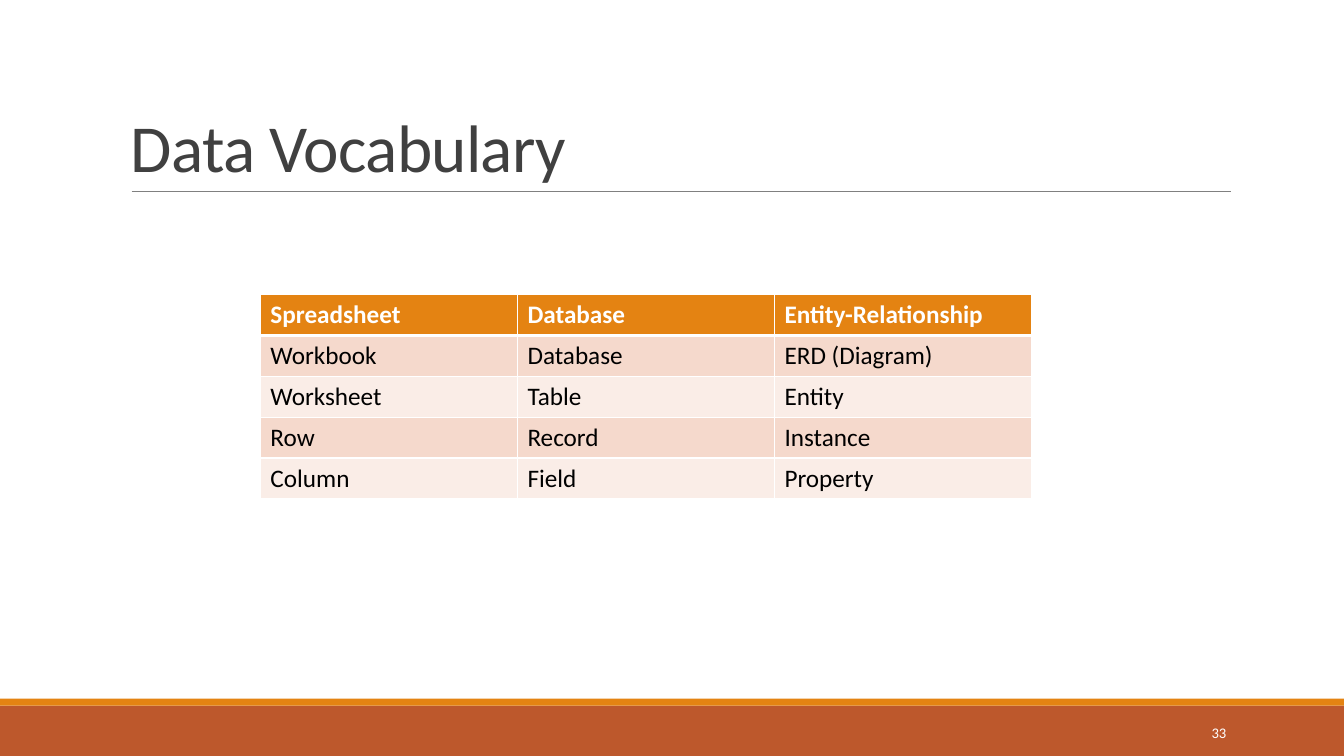
from dataclasses import dataclass

from lxml.etree import SubElement
from pptx import Presentation
from pptx.dml.color import RGBColor
from pptx.enum.shapes import MSO_CONNECTOR as Connector, MSO_SHAPE as Shape
from pptx.enum.text import MSO_ANCHOR as Anchor, PP_ALIGN as Align
from pptx.oxml.ns import qn
from pptx.util import Pt

TITLE = "Data Vocabulary"
PAGE_NUMBER = "33"
VOCABULARY = [
    ("Spreadsheet", "Database", "Entity-Relationship"),
    ("Workbook", "Database", "ERD (Diagram)"),
    ("Worksheet", "Table", "Entity"),
    ("Row", "Record", "Instance"),
    ("Column", "Field", "Property"),
]


@dataclass(frozen=True)
class Theme:
    font: str = "Calibri"
    title_size: float = 48
    table_size: float = 18
    number_size: float = 10.5
    title: str = "404040"
    body: str = "000000"
    white: str = "FFFFFF"
    rule: str = "808080"
    footer: str = "BD582C"
    accent: str = "E48312"
    bands: tuple = ("F5D9CC", "FAEDE7")


THEME = Theme()
PAGE_WIDTH, PAGE_HEIGHT = 960, 540
FOOTER_HEIGHT, STRIPE_HEIGHT = 36, 5
TABLE_LEFT, TABLE_TOP = 186, 210.4
COLUMN_WIDTH, ROW_HEIGHT = 183.6, 29.2


def style(para, size, color, bold=False):
    font = para.runs[0].font
    font.name, font.size, font.bold = THEME.font, Pt(size), bold
    font.color.rgb = RGBColor.from_string(color)


def add_bar(page, top, height, color):
    bar = page.shapes.add_shape(Shape.RECTANGLE, 0, Pt(top), Pt(PAGE_WIDTH), Pt(height))
    bar.shadow.inherit = False
    bar.fill.solid()
    bar.fill.fore_color.rgb = RGBColor.from_string(color)
    bar.line.fill.background()


def add_rule(page, left, right, y):
    rule = page.shapes.add_connector(Connector.STRAIGHT, Pt(left), Pt(y), Pt(right), Pt(y))
    rule.line.width = Pt(0.5)
    rule.line.color.rgb = RGBColor.from_string(THEME.rule)
    SubElement(rule._element.spPr, qn("a:effectLst"))


def add_text(page, text, left, top, width, height, anchor, size, color):
    box = page.shapes.add_textbox(Pt(left), Pt(top), Pt(width), Pt(height))
    frame = box.text_frame
    frame.word_wrap = True
    frame.vertical_anchor = anchor
    frame.text = text
    para = frame.paragraphs[0]
    style(para, size, color)
    return para


def set_borders(cell, widths):
    """Draw white cell borders; widths maps each side (L, R, T, B) to points."""
    properties = cell._tc.get_or_add_tcPr()
    for side, width in widths.items():
        line = SubElement(properties, qn(f"a:ln{side}"), w=str(Pt(width)))
        fill = SubElement(line, qn("a:solidFill"))
        SubElement(fill, qn("a:srgbClr"), val=THEME.white)


def add_vocabulary_table(page):
    row_count, column_count = len(VOCABULARY), len(VOCABULARY[0])
    table = page.shapes.add_table(
        row_count, column_count, Pt(TABLE_LEFT), Pt(TABLE_TOP),
        Pt(column_count * COLUMN_WIDTH), Pt(row_count * ROW_HEIGHT)).table
    for column in table.columns:
        column.width = Pt(COLUMN_WIDTH)
    for index, words in enumerate(VOCABULARY):
        table.rows[index].height = Pt(ROW_HEIGHT)
        header = index == 0
        fill = THEME.accent if header else THEME.bands[(index - 1) % 2]
        color = THEME.white if header else THEME.body
        widths = {"L": 1, "R": 1, "T": 3 if index == 1 else 1, "B": 3 if header else 1}
        for cell, word in zip(table.rows[index].cells, words):
            set_borders(cell, widths)
            cell.fill.solid()
            cell.fill.fore_color.rgb = RGBColor.from_string(fill)
            cell.text_frame.text = word
            style(cell.text_frame.paragraphs[0], THEME.table_size, color, header)


def main():
    deck = Presentation()
    deck.slide_width, deck.slide_height = Pt(PAGE_WIDTH), Pt(PAGE_HEIGHT)
    page = deck.slides.add_slide(deck.slide_layouts[6])

    footer_top = PAGE_HEIGHT - FOOTER_HEIGHT
    add_bar(page, footer_top, FOOTER_HEIGHT, THEME.footer)
    add_bar(page, footer_top - STRIPE_HEIGHT, STRIPE_HEIGHT, THEME.accent)
    add_rule(page, 94, 879, 136.6)

    title = add_text(page, TITLE, 86.4, 22.5, 792, 114.2, Anchor.BOTTOM,
                     THEME.title_size, THEME.title)
    title.line_spacing = 0.85
    title.runs[0]._r.get_or_add_rPr().set("spc", "-50")

    add_vocabulary_table(page)
    number = add_text(page, PAGE_NUMBER, 779.8, 508.6, 103.2, 28.8, Anchor.MIDDLE,
                      THEME.number_size, THEME.white)
    number.alignment = Align.RIGHT
    deck.save("out.pptx")


if __name__ == "__main__":
    main()
